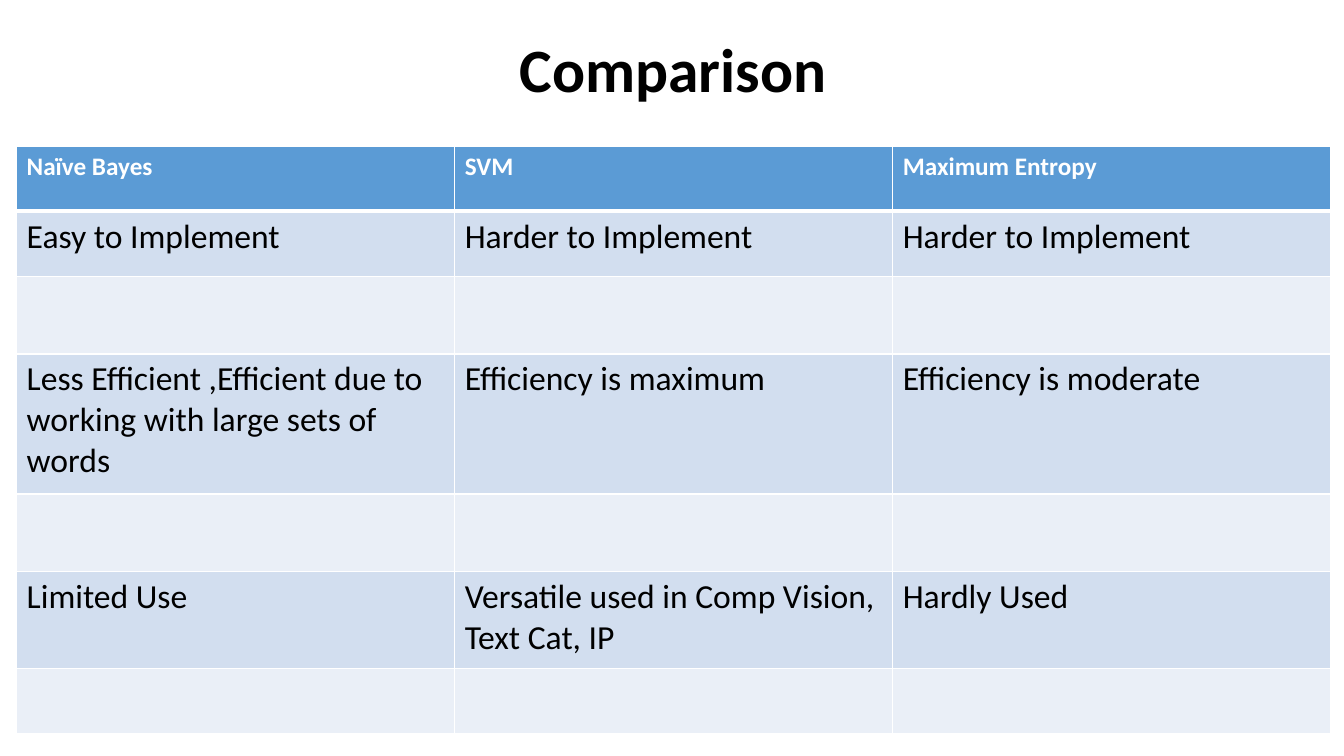
import pptx
import pptx.dml.color
import pptx.enum.text
import pptx.oxml
import pptx.oxml.ns
import pptx.util
from pptx.util import Cm

FONT = "Calibri"
COLORS = {
    "header": "5B9BD5",
    "band": "D2DEEF",
    "light": "EAEFF7",
    "white": "FFFFFF",
    "black": "000000",
}
COL_WIDTH = 11.04
ROW_HEIGHTS = [1.64, 1.64, 1.96, 3.53, 1.96, 2.44, 1.64]
EMPTY_ROW = ["", "", ""]
ROWS = [
    ["Naïve Bayes", "SVM", "Maximum Entropy"],
    ["Easy to Implement", "Harder to Implement", "Harder to Implement"],
    EMPTY_ROW,
    ["Less Efficient ,Efficient due to working with large sets of words",
     "Efficiency is maximum", "Efficiency is moderate"],
    EMPTY_ROW,
    ["Limited Use", "Versatile used in Comp Vision, Text Cat, IP", "Hardly Used"],
    EMPTY_ROW,
]


def rgb(name):
    return pptx.dml.color.RGBColor.from_string(COLORS[name])


def add_run(p, text, size, color, bold=False):
    r = p.add_run()
    r.text = text
    r.font.name = FONT
    r.font.size = pptx.util.Pt(size)
    r.font.bold = bold
    r.font.color.rgb = rgb(color)


def add_title(s, text):
    title = s.shapes.title
    title.left, title.top = Cm(2.36), Cm(0)
    title.width, title.height = Cm(29.21), Cm(3.68)
    tf = title.text_frame
    tf.vertical_anchor = pptx.enum.text.MSO_ANCHOR.MIDDLE
    p = tf.paragraphs[0]
    p.alignment = pptx.enum.text.PP_ALIGN.CENTER
    p.line_spacing = 0.9
    add_run(p, text, 44, "black", bold=True)


def set_border(cell, side, points):
    width = pptx.util.Pt(points)
    line = pptx.oxml.parse_xml(
        f'<a:ln{side} {pptx.oxml.ns.nsdecls("a")} w="{width}"><a:solidFill>'
        f'<a:srgbClr val="{COLORS["white"]}"/></a:solidFill></a:ln{side}>')
    cell._tc.get_or_add_tcPr().append(line)


def format_cell(cell, text, row):
    # Borders come before the fill in the cell properties
    for side in "LRTB":
        thick = (row == 0 and side == "B") or (row == 1 and side == "T")
        set_border(cell, side, 3 if thick else 1)
    fill = "header" if row == 0 else "band" if row % 2 else "light"
    cell.fill.solid()
    cell.fill.fore_color.rgb = rgb(fill)
    if text:
        p = cell.text_frame.paragraphs[0]
        if row == 0:
            add_run(p, text, 18, "white", bold=True)
        else:
            add_run(p, text, 24, "black")


def add_comparison_table(s, rows):
    cols = len(rows[0])
    frame = s.shapes.add_table(len(rows), cols, Cm(0.42), Cm(3.68),
                               Cm(COL_WIDTH * cols), Cm(sum(ROW_HEIGHTS)))
    table = frame.table
    for column in table.columns:
        column.width = Cm(COL_WIDTH)
    for i, (texts, height) in enumerate(zip(rows, ROW_HEIGHTS)):
        table.rows[i].height = Cm(height)
        for j, text in enumerate(texts):
            format_cell(table.cell(i, j), text, i)


def main():
    # Widescreen slide with the title-only layout
    prs = pptx.Presentation()
    prs.slide_width, prs.slide_height = Cm(33.87), Cm(19.05)
    s = prs.slides.add_slide(prs.slide_layouts[5])

    # Title and table
    add_title(s, "Comparison")
    add_comparison_table(s, ROWS)

    prs.save("out.pptx")


if __name__ == "__main__":
    main()
